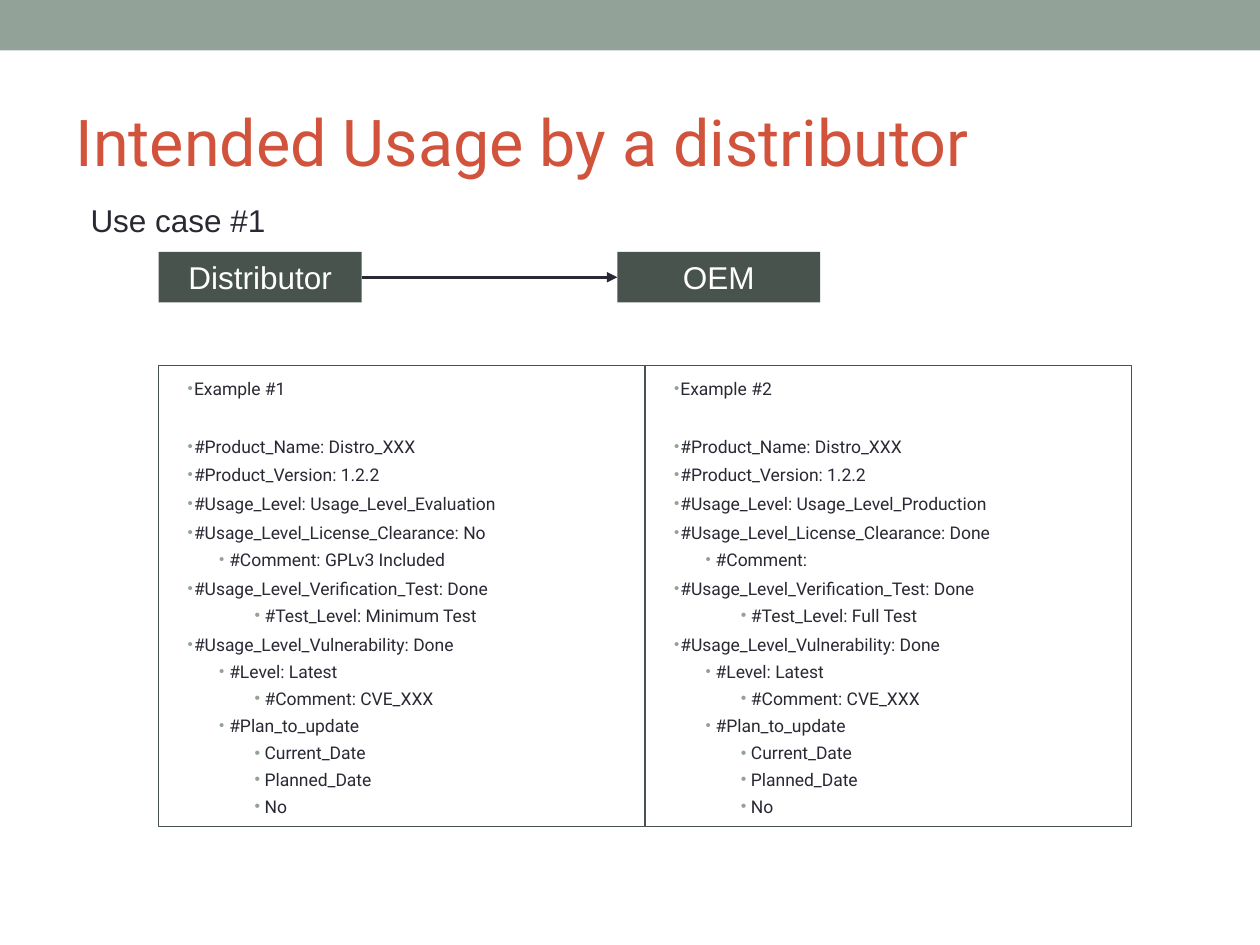
from dataclasses import dataclass

from lxml import etree
from pptx import Presentation
from pptx.dml.color import RGBColor
from pptx.enum.shapes import MSO_CONNECTOR, MSO_SHAPE
from pptx.enum.text import MSO_ANCHOR, MSO_AUTO_SIZE, PP_ALIGN
from pptx.oxml.ns import qn
from pptx.util import Inches, Pt

RECTANGLE, STRAIGHT = MSO_SHAPE.RECTANGLE, MSO_CONNECTOR.STRAIGHT
TOP, MIDDLE = MSO_ANCHOR.TOP, MSO_ANCHOR.MIDDLE
LEFT, CENTER = PP_ALIGN.LEFT, PP_ALIGN.CENTER
NO_AUTOFIT = MSO_AUTO_SIZE.NONE
LEFT_SIDE, RIGHT_SIDE = 1, 3


@dataclass(frozen=True)
class Theme:
    sage: str = "93A299"
    dark_green: str = "47534C"
    red: str = "D2533C"
    ink: str = "292934"
    white: str = "FFFFFF"
    heading_font: str = "Roboto"
    label_font: str = "Arial"
    title_size: float = 36.9
    label_size: float = 18
    list_size: float = 10


# Per outline level: left margin (in), hanging indent (in), space before (pt), bullet size (%)
LEVELS = [(0.18, 0.05, 4.4, 85), (0.46, 0.08, 3.7, 85), (0.74, 0.08, 3.3, 90)]
HEADING_GAP = 20.9


def example_lines(number, usage, clearance, comment, test_level):
    """Return the (level, text) outline of one tagged example."""
    return [
        (0, f"Example #{number}"),
        (0, "#Product_Name: Distro_XXX"),
        (0, "#Product_Version: 1.2.2"),
        (0, f"#Usage_Level: Usage_Level_{usage}"),
        (0, f"#Usage_Level_License_Clearance: {clearance}"),
        (1, comment),
        (0, "#Usage_Level_Verification_Test: Done"),
        (2, f"#Test_Level: {test_level}"),
        (0, "#Usage_Level_Vulnerability: Done"),
        (1, "#Level: Latest"),
        (2, "#Comment: CVE_XXX"),
        (1, "#Plan_to_update"),
        (2, "Current_Date"),
        (2, "Planned_Date"),
        (2, "No"),
    ]


class SlideBuilder:
    def __init__(self, slide, theme):
        self.slide = slide
        self.theme = theme

    def place(self, item, left, top, width, height):
        item.left, item.top = Inches(left), Inches(top)
        item.width, item.height = Inches(width), Inches(height)

    def paint(self, item, color):
        item.fill.solid()
        item.fill.fore_color.rgb = RGBColor.from_string(color)

    def style_runs(self, paragraph, font, size, color):
        for run in paragraph.runs:
            run.font.name = font
            run.font.size = Pt(size)
            run.font.color.rgb = RGBColor.from_string(color)

    def prepare_frame(self, frame, anchor):
        frame.word_wrap = True
        frame.auto_size = NO_AUTOFIT
        frame.vertical_anchor = anchor
        frame.margin_left = frame.margin_right = Inches(0.1)
        frame.margin_top = frame.margin_bottom = Inches(0.1)

    def title(self, text, *box):
        heading = self.slide.shapes.title
        self.place(heading, *box)
        frame = heading.text_frame
        frame.text = text
        self.prepare_frame(frame, MIDDLE)
        frame.paragraphs[0].alignment = LEFT
        self.style_runs(frame.paragraphs[0], self.theme.heading_font,
                        self.theme.title_size, self.theme.red)

    def block(self, color, left, top, width, height):
        block = self.slide.shapes.add_shape(
            RECTANGLE, Inches(left), Inches(top), Inches(width), Inches(height))
        block.shadow.inherit = False
        self.paint(block, color)
        block.line.fill.background()
        return block

    def write_label(self, item, text, color, alignment):
        frame = item.text_frame
        frame.word_wrap = True
        frame.vertical_anchor = TOP
        frame.text = text
        frame.paragraphs[0].alignment = alignment
        self.style_runs(frame.paragraphs[0], self.theme.label_font,
                        self.theme.label_size, color)

    def party(self, name, *box):
        party = self.block(self.theme.dark_green, *box)
        self.write_label(party, name, self.theme.white, CENTER)
        return party

    def caption(self, text, left, top, width, height):
        caption = self.slide.shapes.add_textbox(
            Inches(left), Inches(top), Inches(width), Inches(height))
        self.write_label(caption, text, self.theme.ink, LEFT)

    def arrow(self, giver, receiver):
        arrow = self.slide.shapes.add_connector(STRAIGHT, 0, 0, 0, 0)
        arrow.begin_connect(giver, RIGHT_SIDE)
        arrow.end_connect(receiver, LEFT_SIDE)
        arrow.line.color.rgb = RGBColor.from_string(self.theme.ink)
        arrow.line.width = Pt(1.5)
        properties = arrow.element.spPr
        etree.SubElement(properties.find(qn("a:ln")), qn("a:tailEnd"), type="triangle")
        etree.SubElement(properties, qn("a:effectLst"))

    def bullet(self, paragraph, margin, hanging, percent):
        properties = paragraph._p.get_or_add_pPr()
        properties.set("marL", str(Inches(margin)))
        properties.set("indent", str(-Inches(hanging)))
        color = etree.SubElement(properties, qn("a:buClr"))
        etree.SubElement(color, qn("a:srgbClr"), val=self.theme.sage)
        etree.SubElement(properties, qn("a:buSzPct"), val=str(percent * 1000))
        etree.SubElement(properties, qn("a:buFont"), typeface=self.theme.label_font)
        etree.SubElement(properties, qn("a:buChar"), char="•")

    def outline(self, placeholder, lines, *box):
        self.place(placeholder, *box)
        self.paint(placeholder, self.theme.white)
        placeholder.line.color.rgb = RGBColor.from_string(self.theme.dark_green)
        placeholder.line.width = Pt(0.75)
        frame = placeholder.text_frame
        self.prepare_frame(frame, TOP)
        frame.text = "\n".join(text for _, text in lines)
        for index, (paragraph, (level, _)) in enumerate(zip(frame.paragraphs, lines)):
            margin, hanging, space, percent = LEVELS[level]
            paragraph.level = level
            self.bullet(paragraph, margin, hanging, percent)
            paragraph.space_before = Pt({0: 0, 1: HEADING_GAP}.get(index, space))
            self.style_runs(paragraph, self.theme.heading_font,
                            self.theme.list_size, self.theme.ink)


def main():
    presentation = Presentation()
    presentation.slide_width, presentation.slide_height = Inches(10), Inches(7.5)
    two_content = presentation.slide_layouts[3]
    slide = presentation.slides.add_slide(two_content)
    theme = Theme()
    builder = SlideBuilder(slide, theme)

    builder.block(theme.sage, 0, 0, 10, 0.4)
    builder.title("Intended Usage by a distributor", 0.5, 0.58, 9, 1.08)

    label_width, label_height = 1.61, 0.4
    builder.caption("Use case #1", 0.62, 1.55, label_width, label_height)
    distributor = builder.party("Distributor", 1.26, 2, label_width, label_height)
    oem = builder.party("OEM", 4.9, 2, label_width, label_height)
    builder.arrow(distributor, oem)

    examples = [
        example_lines(1, "Evaluation", "No", "#Comment: GPLv3 Included", "Minimum Test"),
        example_lines(2, "Production", "Done", "#Comment:", "Full Test"),
    ]
    panel_left, panel_width = 1.26, 3.86
    for column, lines in enumerate(examples):
        builder.outline(slide.placeholders[column + 1], lines,
                        panel_left + column * panel_width, 2.9, panel_width, 3.66)

    presentation.save("out.pptx")


if __name__ == "__main__":
    main()
